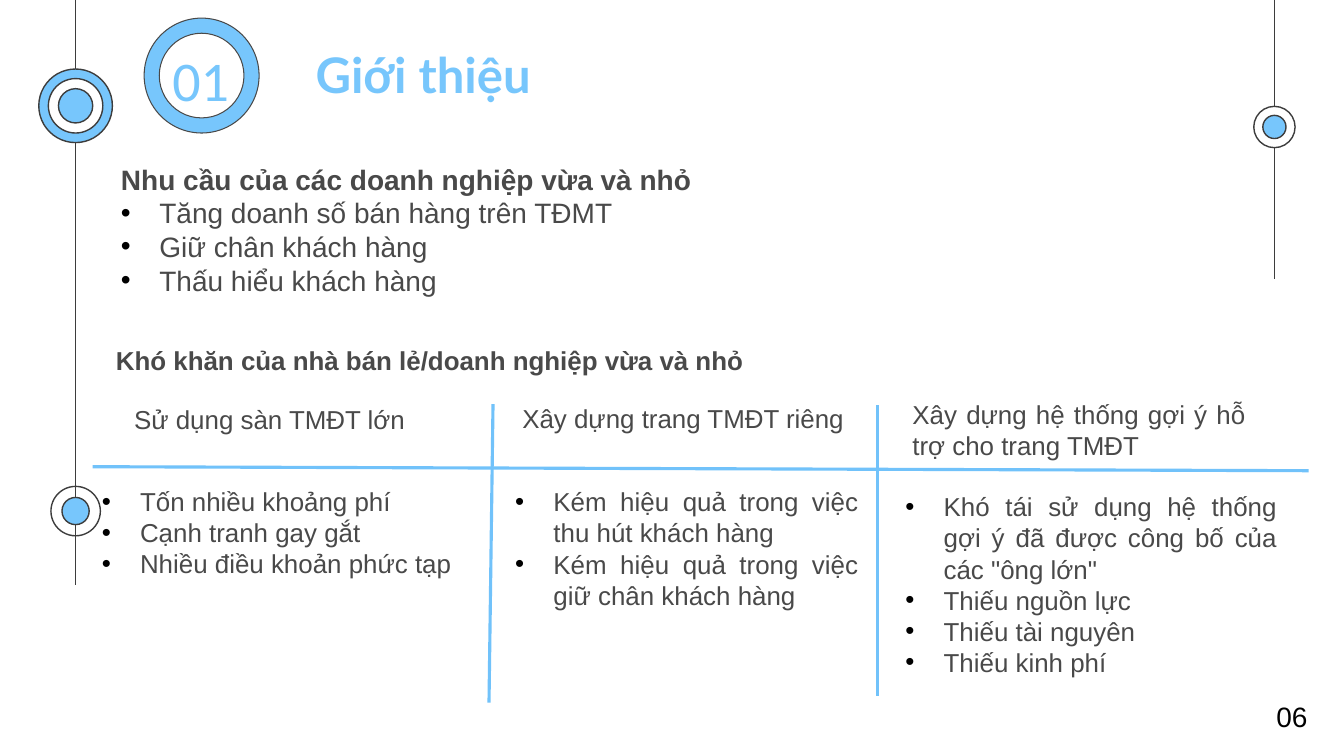
import pptx
import pptx.util
import pptx.dml.color
import pptx.enum.shapes
import pptx.enum.text
import pptx.oxml.ns
import lxml.etree

Inches = pptx.util.Inches
Pt = pptx.util.Pt
Align = pptx.enum.text.PP_ALIGN
Anchor = pptx.enum.text.MSO_ANCHOR


class SlideBuilder:
    """Draws styled elements on the current slide."""

    colors = {
        "blue": "77C6FC",
        "rule": "71C2FA",
        "outline": "3D3D3D",
        "text": "494949",
        "white": "FFFFFF",
        "black": "000000",
    }
    inset = 0.13
    indent = 0.38

    def __init__(self, slide):
        self.slide = slide

    def color(self, name):
        return pptx.dml.color.RGBColor.from_string(self.colors[name])

    def line(self, start, end, color, width):
        connector = self.slide.shapes.add_connector(
            pptx.enum.shapes.MSO_CONNECTOR.STRAIGHT,
            *(Inches(value) for value in (*start, *end)))
        connector.line.color.rgb = self.color(color)
        connector.line.width = Pt(width)
        lxml.etree.SubElement(
            connector._element.spPr, pptx.oxml.ns.qn("a:effectLst"))

    def circle(self, center, diameter, fill, outline="outline", width=1):
        left, top = (value - diameter / 2 for value in center)
        shape = self.slide.shapes.add_shape(
            pptx.enum.shapes.MSO_SHAPE.OVAL,
            Inches(left), Inches(top), Inches(diameter), Inches(diameter))
        shape.shadow.inherit = False
        if fill:
            shape.fill.solid()
            shape.fill.fore_color.rgb = self.color(fill)
        else:
            shape.fill.background()
        shape.line.color.rgb = self.color(outline)
        shape.line.width = Pt(width)

    def bullet(self, paragraph):
        properties = paragraph._p.get_or_add_pPr()
        properties.set("marL", str(Inches(self.indent)))
        properties.set("indent", str(-Inches(self.indent)))
        bullet_color = lxml.etree.SubElement(
            properties, pptx.oxml.ns.qn("a:buClr"))
        lxml.etree.SubElement(
            bullet_color, pptx.oxml.ns.qn("a:srgbClr"), val=self.colors["black"])
        lxml.etree.SubElement(
            properties, pptx.oxml.ns.qn("a:buFont"), typeface="Arial")
        lxml.etree.SubElement(
            properties, pptx.oxml.ns.qn("a:buChar"), char="•")

    def text(self, box, heading=None, bullets=(), size=18.5, font="Arial",
             color="text", bold=False, align=Align.JUSTIFY, anchor=Anchor.TOP):
        shape = self.slide.shapes.add_textbox(*(Inches(value) for value in box))
        frame = shape.text_frame
        frame.word_wrap = True
        frame.vertical_anchor = anchor
        frame.margin_left = frame.margin_right = Inches(self.inset)
        frame.margin_top = frame.margin_bottom = Inches(self.inset)
        entries = [(heading, False)] if heading else []
        entries += [(item, True) for item in bullets]
        for index, (content, bulleted) in enumerate(entries):
            paragraph = frame.add_paragraph() if index else frame.paragraphs[0]
            paragraph.text = content
            paragraph.alignment = align
            if bulleted:
                self.bullet(paragraph)
            paragraph.font.size = Pt(size)
            paragraph.font.name = font
            paragraph.font.bold = bold and not bulleted
            paragraph.font.color.rgb = self.color(color)


def main():
    presentation = pptx.Presentation()
    presentation.slide_width = Inches(13.33)
    presentation.slide_height = Inches(7.5)
    slide = presentation.slides.add_slide(presentation.slide_layouts[6])
    builder = SlideBuilder(slide)

    left_axis, right_axis = 0.75, 12.64
    builder.line((left_axis, 0), (left_axis, 5.8), "outline", 0.75)
    builder.line((right_axis, 0), (right_axis, 2.77), "outline", 0.75)
    ornaments = [
        ((left_axis, 5.07), [(0.49, None), (0.27, "blue")]),
        ((right_axis, 1.26), [(0.41, "white"), (0.23, "blue")]),
        ((left_axis, 1.05), [(0.73, "blue"), (0.54, "white"), (0.34, "blue")]),
    ]
    for center, rings in ornaments:
        for diameter, fill in rings:
            builder.circle(center, diameter, fill)
    for diameter, fill in [(1.14, "blue"), (0.84, "white")]:
        builder.circle((2, 0.75), diameter, fill, "text", 0.75)

    builder.text((1.39, 0.15, 1.2, 1.1), "01", size=40, font="Calibri",
                 color="blue", align=Align.CENTER, anchor=Anchor.BOTTOM)
    builder.text((3, 0.31, 8.07, 0.87), "Giới thiệu", size=35, font="Lato",
                 color="blue", bold=True, align=Align.LEFT)
    builder.text((12.53, 6.81, 0.66, 0.53), "06", size=20, color="black",
                 align=Align.LEFT)
    builder.text(
        (1.07, 1.48, 7.02, 1.73), "Nhu cầu của các doanh nghiệp vừa và nhỏ",
        ["Tăng doanh số bán hàng trên TĐMT", "Giữ chân khách hàng",
         "Thấu hiểu khách hàng"], size=20, bold=True)
    builder.text((1.02, 3.29, 7.02, 0.72),
                 "Khó khăn của nhà bán lẻ/doanh nghiệp vừa và nhỏ", bold=True)

    columns = [
        ((1.2, 3.87, 3.51, 0.72), "Sử dụng sàn TMĐT lớn",
         (0.88, 4.69, 3.97, 2.1),
         ["Tốn nhiều khoảng phí", "Cạnh tranh gay gắt",
          "Nhiều điều khoản phức tạp"]),
        ((5.05, 3.86, 3.48, 0.71), "Xây dựng trang TMĐT riêng",
         (4.98, 4.69, 3.66, 1.95),
         ["Kém hiệu quả trong việc thu hút khách hàng",
          "Kém hiệu quả trong việc giữ chân khách hàng"]),
        ((8.92, 3.82, 3.56, 0.72),
         "Xây dựng hệ thống gợi ý hỗ trợ cho trang TMĐT",
         (8.85, 4.74, 3.94, 2.16),
         ["Khó tái sử dụng hệ thống gợi ý đã được công bố của các \"ông lớn\"",
          "Thiếu nguồn lực", "Thiếu tài nguyên", "Thiếu kinh phí"]),
    ]
    for heading_box, heading, list_box, items in columns:
        builder.text(heading_box, heading)
        builder.text(list_box, bullets=items)

    for start, end in [((4.89, 4.01), (4.85, 6.97)),
                       ((8.7, 4.02), (8.7, 6.9)),
                       ((12.98, 4.67), (0.92, 4.63))]:
        builder.line(start, end, "rule", 2.25)

    presentation.save("out.pptx")


if __name__ == "__main__":
    main()
